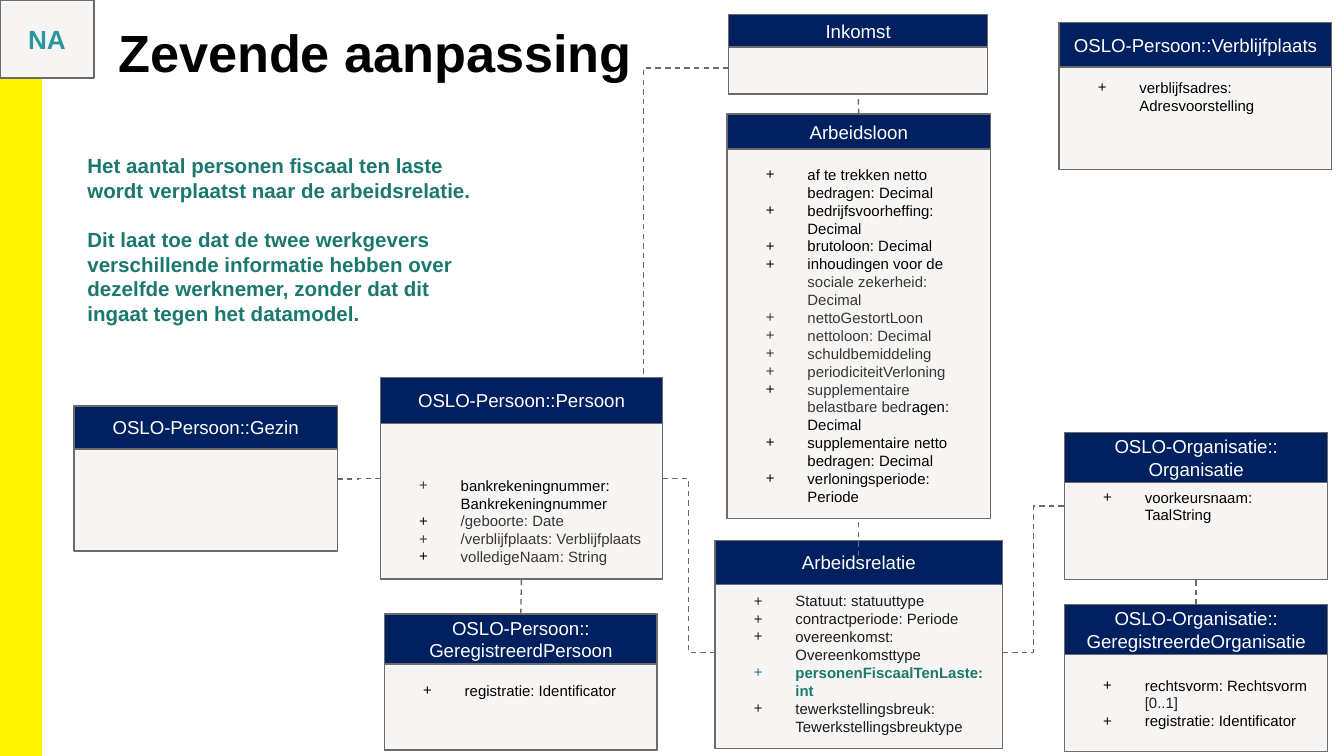
import pptx
import pptx.util
import pptx.dml.color
import pptx.enum.dml
import pptx.enum.shapes
import pptx.enum.text
import pptx.oxml.ns
from lxml import etree

PP_ALIGN = pptx.enum.text.PP_ALIGN
ANCHOR = pptx.enum.text.MSO_ANCHOR
LINK = pptx.enum.shapes.MSO_CONNECTOR
TOP, LEFT, BOTTOM, RIGHT = range(4)


class Theme:
    font = "Arial"
    navy, paper, line, yellow = "002060", "F6F5F3", "6B6B6B", "FFF200"
    white, black, grey, dark, code = "FFFFFF", "000000", "373636", "1B1A1A", "202124"
    green, teal = "1B786E", "2B979D"
    title, badge, note, header, attribute = 28, 14, 11, 10, 8
    line_width = 0.75


def rgb(value):
    return pptx.dml.color.RGBColor.from_string(value)


def apply(target, formats):
    for name, value in formats.items():
        setattr(target, name, value)


class Diagram:
    """One slide on a grid of 100 columns by 56.25 rows."""

    def __init__(self, prs, theme):
        self.prs, self.theme = prs, theme
        self.s = prs.slides.add_slide(prs.slide_layouts[1])

    def place(self, x, y, w, h):
        dx, dy = self.prs.slide_width / 100, self.prs.slide_height / 56.25
        return [round(v) for v in (x * dx, y * dy, w * dx, h * dy)]

    def frame(self, sp, anchor, insets):
        tf = sp.text_frame
        left, top, right, bottom = (pptx.util.Inches(v) for v in insets)
        apply(tf, dict(word_wrap=True, vertical_anchor=anchor,
                       auto_size=pptx.enum.text.MSO_AUTO_SIZE.NONE,
                       margin_left=left, margin_top=top,
                       margin_right=right, margin_bottom=bottom))
        return tf

    def paragraph(self, tf, index, runs, size, align=PP_ALIGN.LEFT, bullet=None, before=0):
        """Write runs of (text, colour[, bold]) as one paragraph."""
        p = tf.add_paragraph() if index else tf.paragraphs[0]
        pPr = p._p.get_or_add_pPr()
        pPr.set("marL", str(pptx.util.Inches(0.5 if bullet else 0)))
        pPr.set("indent", str(pptx.util.Inches(-0.31 if bullet else 0)))
        qn = pptx.oxml.ns.qn
        if bullet:
            colour = etree.SubElement(pPr, qn("a:buClr"))
            etree.SubElement(colour, qn("a:srgbClr"), val=bullet)
            etree.SubElement(pPr, qn("a:buFont"), typeface=self.theme.font)
            etree.SubElement(pPr, qn("a:buChar"), char="+")
        else:
            etree.SubElement(pPr, qn("a:buNone"))
        apply(p, dict(alignment=align, line_spacing=1.0,
                      space_before=pptx.util.Pt(before if index else 0)))
        for text, ink, *bold in runs:
            r = p.add_run()
            r.text = text
            apply(r.font, dict(name=self.theme.font, size=pptx.util.Pt(size),
                               bold=bool(bold and bold[0])))
            r.font.color.rgb = rgb(ink)

    def placeholder(self, index, at, insets, texts, size, ink, before=0):
        sp = self.s.placeholders[index]
        apply(sp, dict(zip(("left", "top", "width", "height"), self.place(*at))))
        tf = self.frame(sp, ANCHOR.TOP, insets)
        for i, text in enumerate(texts):
            self.paragraph(tf, i, [(text, ink, True)], size, before=before)

    def rect(self, at, fill, line=None):
        sp = self.s.shapes.add_shape(pptx.enum.shapes.MSO_SHAPE.RECTANGLE, *self.place(*at))
        sp.shadow.inherit = False
        sp.fill.solid()
        sp.fill.fore_color.rgb = rgb(fill)
        sp.line.color.rgb = rgb(line or self.theme.line)
        sp.line.width = pptx.util.Pt(self.theme.line_width)
        return sp

    def label(self, at, fill, lines, size, ink, bold=False):
        tf = self.frame(self.rect(at, fill), ANCHOR.MIDDLE, [0.1] * 4)
        for i, text in enumerate(lines):
            self.paragraph(tf, i, [(text, ink, bold)], size, PP_ALIGN.CENTER)

    def entity(self, x, w, header, body, names, attributes=(),
               anchor=ANCHOR.BOTTOM, top=0.1, bottom=0.1):
        """Class box: header and body are (row, rows); attributes are (bullet, *runs)."""
        sp = self.rect((x, body[0], w, body[1]), self.theme.paper)
        tf = self.frame(sp, anchor, (0.1, top, 0.1, bottom))
        for i, (bullet, *runs) in enumerate(attributes):
            self.paragraph(tf, i, runs, self.theme.attribute, bullet=bullet)
        self.label((x, header[0], w, header[1]), self.theme.navy, names,
                   self.theme.header, self.theme.white)
        return sp

    def link(self, kind, start, side, end, end_side=None):
        """Dashed link; end is a shape with a side, or a grid point for a single bend."""
        sp = self.s.shapes.add_connector(kind, 0, 0, 0, 0)
        sp.begin_connect(start, side)
        if end_side is None:
            sp.end_x, sp.end_y = self.place(*end, 0, 0)[:2]
            geometry = sp._element.spPr.find(pptx.oxml.ns.qn("a:prstGeom"))
            geometry.set("prst", "bentConnector2")
        else:
            sp.end_connect(end, end_side)
        apply(sp.line, dict(width=pptx.util.Pt(self.theme.line_width),
                            dash_style=pptx.enum.dml.MSO_LINE.DASH))
        sp.line.color.rgb = rgb(self.theme.line)
        etree.SubElement(sp._element.spPr, pptx.oxml.ns.qn("a:effectLst"))


def plain(ink, *texts):
    return [(ink, (text, ink)) for text in texts]


def main():
    prs = pptx.Presentation()
    prs.slide_width, prs.slide_height = pptx.util.Inches(10), pptx.util.Inches(5.625)
    t = Theme
    d = Diagram(prs, t)
    black, grey, dark, green = t.black, t.grey, t.dark, t.green

    # Side bar, badge, title and explanation
    d.rect((0, 0, 3.1, 56.25), t.yellow, t.yellow)
    d.label((0, 0, 7, 5.8), t.paper, ["NA"], t.badge, t.teal, bold=True)
    d.placeholder(0, (8.1, 1.1, 45.9, 6.8), (0.07, 0.04, 0.07, 0.04),
                  ["Zevende aanpassing"], t.title, black)
    d.placeholder(1, (5.5, 10.4, 32.3, 15), [0.1] * 4, [
        "Het aantal personen fiscaal ten laste wordt verplaatst naar de arbeidsrelatie.",
        "Dit laat toe dat de twee werkgevers verschillende informatie hebben over "
        "dezelfde werknemer, zonder dat dit ingaat tegen het datamodel.",
    ], t.note, green, before=13)

    # Persons
    family = d.entity(5.5, 19.6, (30.2, 3.2), (30.3, 10.7), ["OSLO-Persoon::Gezin"])
    person = d.entity(28.3, 21, (28.1, 3.4), (28.1, 15), ["OSLO-Persoon::Persoon"], [
        (grey, ("bankrekeningnummer: Bankrekeningnummer", black)),
        (black, ("/geboorte: Date", grey)),
        (grey, ("/verblijfplaats: Verblijfplaats", grey)),
        (black, ("volledigeNaam: String", grey))])
    registered_person = d.entity(
        28.6, 20.3, (45.7, 3.7), (45.7, 10.1), ["OSLO-Persoon::", "GeregistreerdPersoon"],
        plain(black, "registratie: Identificator"), ANCHOR.MIDDLE, top=0.23)
    d.entity(78.8, 20.3, (1.7, 3.3), (1.7, 10.9), ["OSLO-Persoon::Verblijfplaats"],
             plain(black, "verblijfsadres: Adresvoorstelling"), ANCHOR.MIDDLE)

    # Income and work
    income = d.entity(54.2, 19.3, (1.1, 2.4), (3.1, 3.9), ["Inkomst"])
    wage = d.entity(54.1, 19.6, (8.5, 2.6), (8.5, 30.1), ["Arbeidsloon"], [
        *plain(black, "af te trekken netto bedragen: Decimal",
               "bedrijfsvoorheffing: Decimal", "brutoloon: Decimal"),
        (black, ("inhoudingen voor de ", black), ("sociale zekerheid: Decimal", grey)),
        *plain(grey, "nettoGestortLoon", "nettoloon: Decimal",
               "schuldbemiddeling", "periodiciteitVerloning"),
        (black, ("supplementaire belastbare bedr", grey), ("agen: Decimal", black)),
        *plain(black, "supplementaire netto bedragen: Decimal",
               "verloningsperiode: Periode")])
    employment = d.entity(53.2, 21.4, (40.2, 3.3), (41.4, 14.3), ["Arbeidsrelatie"], [
        *plain(dark, "Statuut: statuuttype", "contractperiode: Periode",
               "overeenkomst: Overeenkomsttype"),
        (green, ("personenFiscaalTenLaste: int", green, True)),
        *plain(dark, "tewerkstellingsbreuk: Tewerkstellingsbreuktype")])

    # Organisations
    organisation = d.entity(
        79.2, 19.6, (32.2, 3.7), (32.2, 10.9), ["OSLO-Organisatie::", "Organisatie"],
        plain(black, "voorkeursnaam: TaalString"), ANCHOR.MIDDLE)
    registered_organisation = d.entity(
        79.2, 19.6, (45, 3.7), (45, 10.9), ["OSLO-Organisatie::", "GeregistreerdeOrganisatie"], [
            (black, ("rechtsvorm: Rechtsvorm ", black), ("[0..1]", t.code)),
            *plain(black, "registratie: Identificator")], bottom=0.16)

    # Links
    for upper, lower in [(income, wage), (wage, employment), (person, registered_person),
                         (organisation, registered_organisation)]:
        d.link(LINK.STRAIGHT, lower, TOP, upper, BOTTOM)
    for left, right in [(family, person), (person, employment), (employment, organisation)]:
        d.link(LINK.ELBOW, left, RIGHT, right, LEFT)
    d.link(LINK.ELBOW, income, LEFT, (47.9, 28.1))

    prs.save("out.pptx")


if __name__ == "__main__":
    main()
